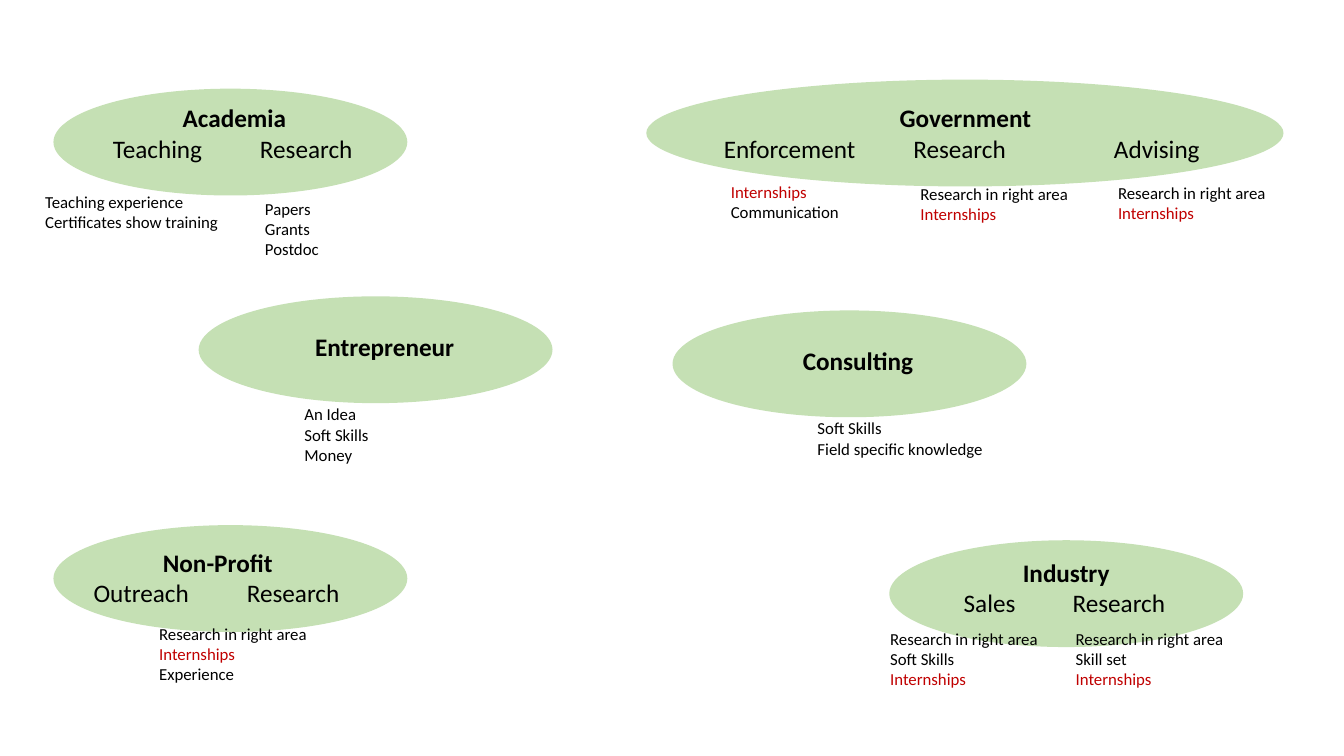
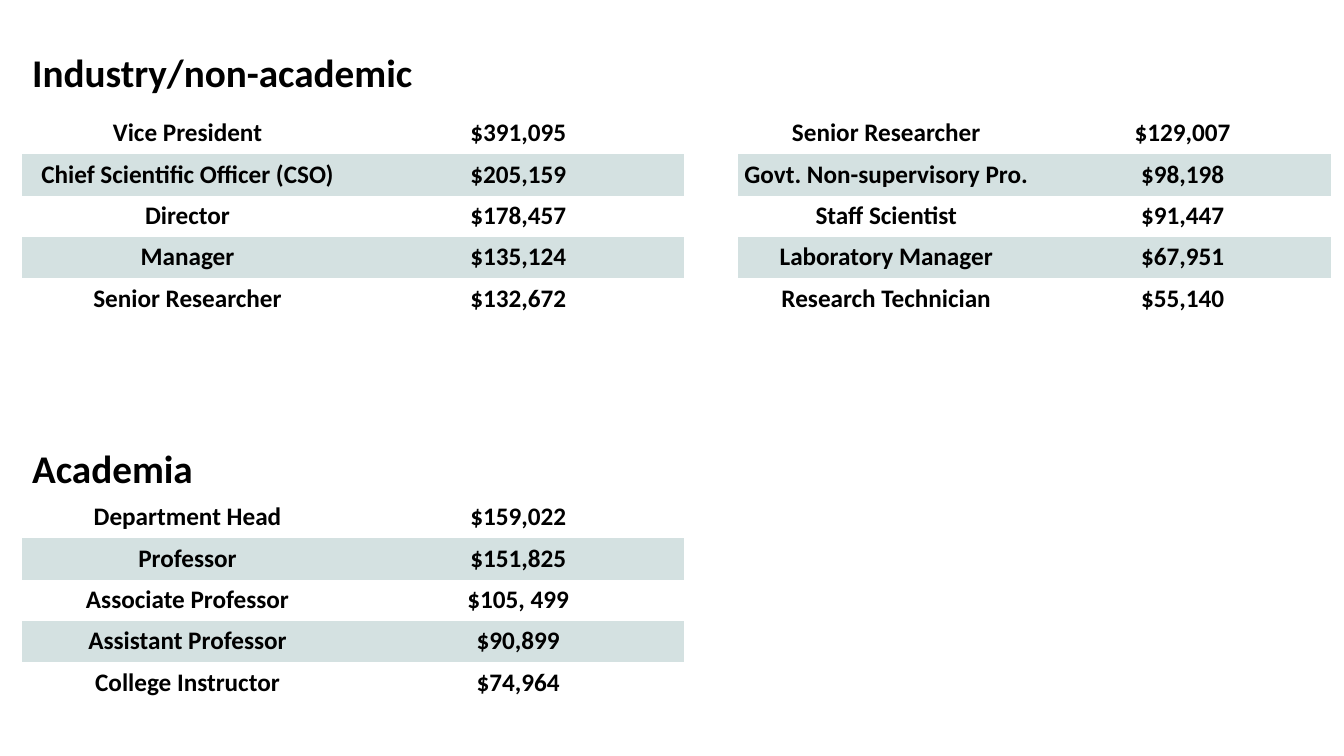
from lxml import etree
from pptx import Presentation
from pptx.dml.color import RGBColor
from pptx.enum.shapes import MSO_SHAPE
from pptx.enum.text import PP_ALIGN
from pptx.oxml.ns import qn
from pptx.util import Inches, Pt

ELLIPSE = MSO_SHAPE.OVAL
CENTER = PP_ALIGN.CENTER
LEFT = PP_ALIGN.LEFT

FONT = "Calibri"
BLACK, RED, GREEN, BAND = "000000", "C00000", "C5E0B4", "D4E1E1"
HIGHLIGHT = "Internships"
PLAIN_TABLE = "{2D5ABB26-0587-4C30-8999-92F81FD0307C}"

OVAL_WIDTH, OVAL_HEIGHT = 3.51, 1.06
ROW_HEIGHT, CELL_MARGIN = 0.41, 0.05
TABLE_LEFT, TABLE_TOP = 0.22, 1.12

CAREERS = [
    {"name": "Academia", "oval": (0.53, 0.88), "heading": (1.02, 0.97, 2.61),
     "tracks": ["Teaching", "Research"], "tabs": [1.46],
     "notes": [
         (0.35, 1.85, 1.94, ["Teaching experience", "Certificates show training"]),
         (2.53, 1.92, 0.74, ["Papers", "Grants", "Postdoc"])]},
    {"name": "Government", "oval": (6.41, 0.79), "oval_width": 6.32,
     "heading": (7.08, 0.97, 4.99),
     "tracks": ["Enforcement", "Research", "Advising"], "tabs": [1.88, 3.87],
     "notes": [
         (7.15, 1.75, 1.29, ["Internships", "Communication"]),
         (9.03, 1.77, 1.68, ["Research in right area", "Internships"]),
         (10.99, 1.76, 1.68, ["Research in right area", "Internships"])]},
    {"name": "Entrepreneur", "oval": (1.97, 2.94), "heading": (2.99, 3.24, 1.65),
     "notes": [(2.92, 3.96, 0.85, ["An Idea", "Soft Skills", "Money"])]},
    {"name": "Consulting", "oval": (6.67, 3.08), "heading": (7.86, 3.38, 1.3),
     "notes": [(8.01, 4.1, 1.86, ["Soft Skills", "Field specific knowledge"])]},
    {"name": "Non-Profit", "oval": (0.53, 5.21), "heading": (0.83, 5.38, 2.66),
     "tracks": ["Outreach", "Research"], "tabs": [1.52],
     "notes": [(1.48, 6.14, 1.68,
                ["Research in right area", "Internships", "Experience"])]},
    {"name": "Industry", "oval": (8.82, 5.36), "heading": (9.46, 5.48, 2.23),
     "tracks": ["Sales", "Research"], "tabs": [1.08],
     "notes": [
         (8.73, 6.19, 1.68, ["Research in right area", "Soft Skills", "Internships"]),
         (10.57, 6.19, 1.68, ["Research in right area", "Skill set", "Internships"])]},
]

SALARY_TITLES = [
    ("Industry/non-academic", 0.43, 4.02),
    ("Academia", 4.36, 1.82),
]

SALARY_TABLES = [
    (TABLE_LEFT, TABLE_TOP, 3.28, [
        ("Vice President", "$391,095"),
        ("Chief Scientific Officer (CSO)", "$205,159"),
        ("Director", "$178,457"),
        ("Manager", "$135,124"),
        ("Senior Researcher", "$132,672")]),
    (7.32, TABLE_TOP, 2.94, [
        ("Senior Researcher", "$129,007"),
        ("Govt. Non-supervisory Pro.", "$98,198"),
        ("Staff Scientist", "$91,447"),
        ("Laboratory Manager", "$67,951"),
        ("Research Technician", "$55,140")]),
    (TABLE_LEFT, 4.93, 3.28, [
        ("Department Head", "$159,022"),
        ("Professor", "$151,825"),
        ("Associate Professor", "$105, 499"),
        ("Assistant Professor", "$90,899"),
        ("College Instructor", "$74,964")]),
]


def rgb(value):
    return RGBColor.from_string(value)


def write(para, text, size, color=BLACK, bold=False, align=LEFT):
    para.alignment = align
    span = para.add_run()
    span.text = text
    span.font.name = FONT
    span.font.size = Pt(size)
    span.font.bold = bold
    span.font.color.rgb = rgb(color)


def add_box(page, left, top, width, height, wrap=False):
    box = page.shapes.add_textbox(
        Inches(left), Inches(top), Inches(width), Inches(height))
    box.text_frame.word_wrap = wrap
    return box.text_frame


def add_tabs(para, stops):
    tab_list = etree.SubElement(para._p.get_or_add_pPr(), qn("a:tabLst"))
    for stop in stops:
        etree.SubElement(tab_list, qn("a:tab"), pos=str(Inches(stop)), algn="l")


def add_oval(page, left, top, width):
    oval = page.shapes.add_shape(
        ELLIPSE, Inches(left), Inches(top), Inches(width), Inches(OVAL_HEIGHT))
    oval.shadow.inherit = False
    oval.fill.solid()
    oval.fill.fore_color.rgb = rgb(GREEN)
    oval.line.fill.background()


def add_heading(page, career):
    tracks = career.get("tracks")
    frame = add_box(page, *career["heading"], 0.71 if tracks else 0.4, wrap=True)
    write(frame.paragraphs[0], career["name"], 18, bold=True, align=CENTER)
    if tracks:
        para = frame.add_paragraph()
        add_tabs(para, career["tabs"])
        write(para, "\t".join(tracks), 18)


def add_notes(page, left, top, width, lines):
    frame = add_box(page, left, top, width, 0.1 + 0.2 * len(lines))
    for index, line in enumerate(lines):
        para = frame.add_paragraph() if index else frame.paragraphs[0]
        write(para, line, 12, RED if line == HIGHLIGHT else BLACK)


def add_salaries(page, left, top, column_width, rows):
    table = page.shapes.add_table(
        len(rows), 2, Inches(left), Inches(top),
        Inches(2 * column_width), Inches(ROW_HEIGHT * len(rows))).table
    table.first_row = table.horz_banding = False
    table._tbl.tblPr.find(qn("a:tableStyleId")).text = PLAIN_TABLE
    for row_index, values in enumerate(rows):
        table.rows[row_index].height = Inches(ROW_HEIGHT)
        for column_index, value in enumerate(values):
            cell = table.cell(row_index, column_index)
            cell.margin_left = cell.margin_right = Inches(CELL_MARGIN)
            cell.margin_top = cell.margin_bottom = Inches(CELL_MARGIN)
            if row_index % 2:
                cell.fill.solid()
                cell.fill.fore_color.rgb = rgb(BAND)
            else:
                cell.fill.background()
            write(cell.text_frame.paragraphs[0], value, 18, bold=True, align=CENTER)


def build_careers(page):
    for career in CAREERS:
        add_oval(page, *career["oval"], career.get("oval_width", OVAL_WIDTH))
        add_heading(page, career)
        for note in career["notes"]:
            add_notes(page, *note)


def build_salaries(page):
    for salary_table in SALARY_TABLES:
        add_salaries(page, *salary_table)
    for title, top, width in SALARY_TITLES:
        frame = add_box(page, TABLE_LEFT, top, width, 0.57)
        write(frame.paragraphs[0], title, 28, bold=True)


def main():
    deck = Presentation()
    deck.slide_width, deck.slide_height = Inches(13.33), Inches(7.5)
    for build in (build_careers, build_salaries):
        build(deck.slides.add_slide(deck.slide_layouts[6]))
    deck.save("out.pptx")


if __name__ == "__main__":
    main()
